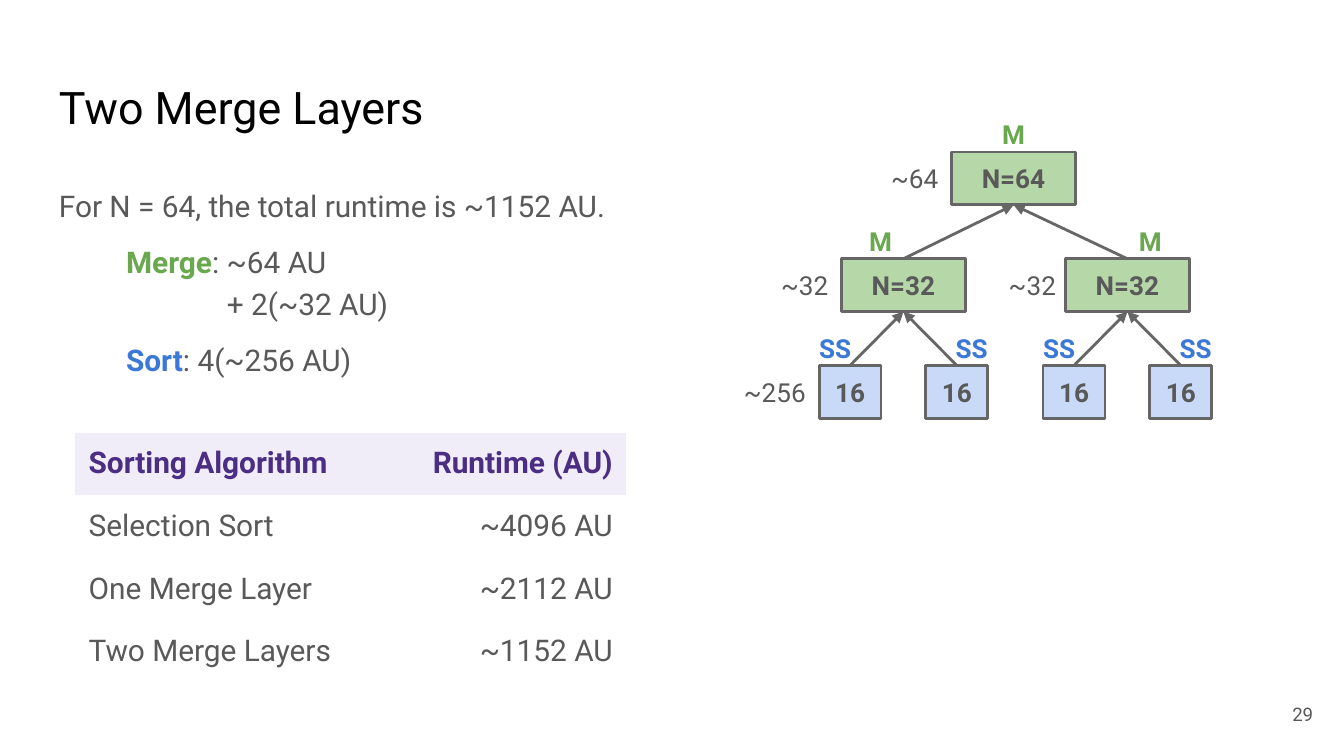
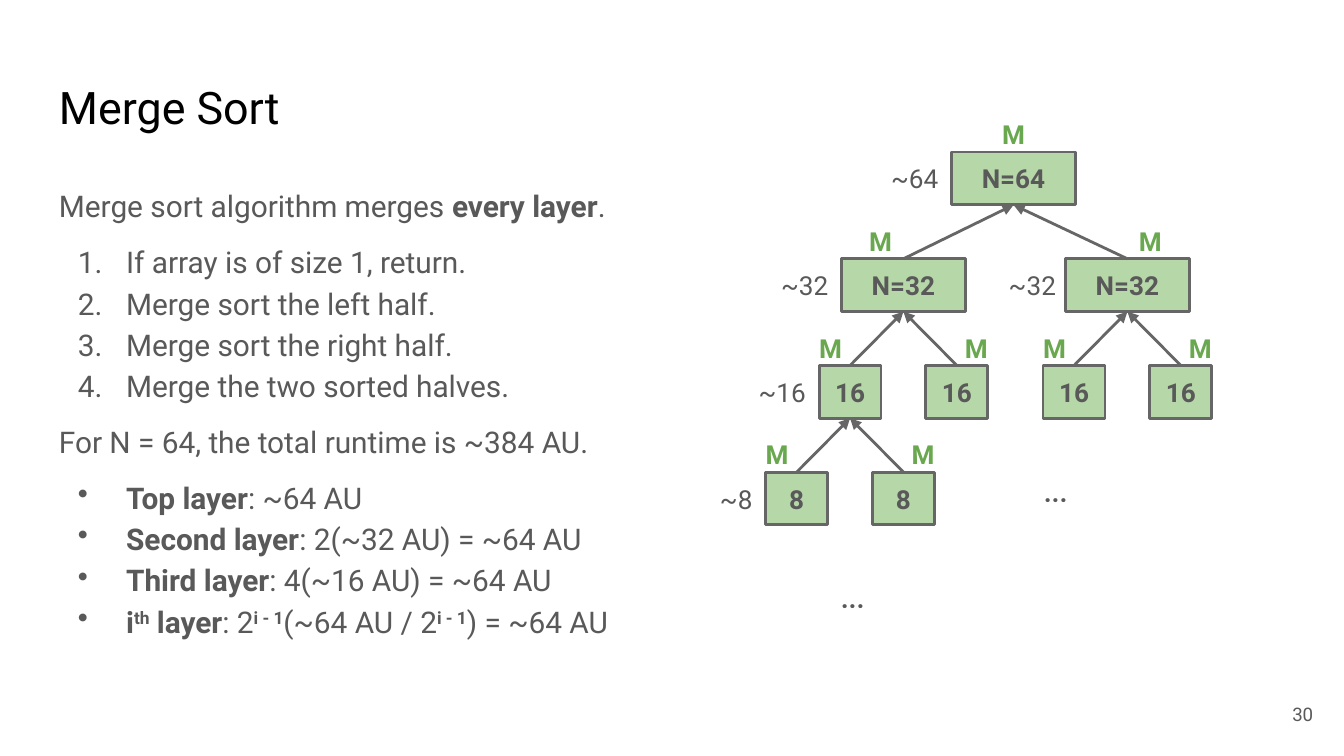
from collections import namedtuple

from lxml import etree
from pptx import Presentation
from pptx.dml.color import RGBColor
from pptx.enum.shapes import MSO_CONNECTOR, MSO_SHAPE
from pptx.enum.text import MSO_ANCHOR, PP_ALIGN
from pptx.oxml.ns import qn
from pptx.util import Pt

RECTANGLE = MSO_SHAPE.RECTANGLE
STRAIGHT = MSO_CONNECTOR.STRAIGHT
TOP, MIDDLE = MSO_ANCHOR.TOP, MSO_ANCHOR.MIDDLE
LEFT, CENTER, RIGHT = PP_ALIGN.LEFT, PP_ALIGN.CENTER, PP_ALIGN.RIGHT
TOP_SIDE, BOTTOM_SIDE = 0, 2

COLORS = {
    "black": "000000", "text": "595959", "line": "666666", "white": "FFFFFF",
    "merge": "6AA84F", "merge_fill": "B6D7A8",
    "sort": "3C78D8", "sort_fill": "C9DAF8",
    "header": "4B2E83", "header_fill": "F0ECF8",
}
FONT = "Roboto"
INSET = 7.2
NO_TABLE_STYLE = "{2D5ABB26-0587-4C30-8999-92F81FD0307C}"

# Regions of the page, in points
Box = namedtuple("Box", "left top width height")
PAGE = Box(0, 0, 720, 405)
TITLE = Box(24.5, 35.3, 311, 45.4)
BODY = Box(24.5, 90.7, 311, 269.3)
TABLE = Box(40.3, 231.8, 295.2, 120.8)
TREE = Box(332, 62.6, 318, 276)
PAGE_NUMBER = Box(667.4, 367.2, 43.2, 31)

# Text formats
TITLE_TEXT = {"size": 24, "color": "black"}
BODY_TEXT = {"size": 16, "color": "text"}
NUMBER_TEXT = {"size": 10, "color": "text"}
TREE_TEXT = {"size": 14, "color": "text"}
BOLD = {"bold": True}
RAISED = {"bold": True, "baseline": 30}

# Paragraph layouts
PLAIN = {"line_spacing": 1.15}
SPACED = {**PLAIN, "space_before": Pt(8)}
HANGING = {"margin": 90, "indent": -54}
INDENTED = {"margin": 36, "indent": 0}
LISTED = {"margin": 36, "indent": -25.9}
NUMBERED = {**LISTED, "bullet": ("a:buAutoNum", "type", "arabicPeriod")}
BULLETED = {**LISTED, "bullet": ("a:buChar", "char", "•")}

# Tree geometry: a node is named by the turns that lead to it from the root
ROOT_CENTER = 211
NODE_HEIGHT = 28.3
TAG_HEIGHT = 18.9
ROW_PITCH = 57.15
NODE_WIDTHS = [66.4, 66.4, 33.2, 33.2]
STEPS = [{}, {"L": -59, "R": 61}, {"L": -28.6, "R": 28.6}, {"L": -28.6, "R": 28.6}]
INNER_TAG_WIDTH = 41.8
COST_WIDTH = 77.8
UPPER_NODES = ["", "L", "R", "LL", "LR", "RL", "RR"]
LOWER_NODES = ["LLL", "LLR"]
LABELS = ["N=64", "N=32", "16", "8"]
ELLIPSES = [(246.9, 3), (138.2, 4)]  # right edge, row


def color(name):
    return RGBColor.from_string(COLORS[name])


def place(box):
    return [Pt(value) for value in box]


def within(region, left, top, width, height):
    return Box(region.left + left, region.top + top, width, height)


# Text
def add_span(para, text, style):
    span = para.add_run()
    span.text = text
    values = {"name": FONT, "size": Pt(style["size"]), "bold": style.get("bold", False)}
    for key, value in values.items():
        setattr(span.font, key, value)
    span.font.color.rgb = color(style["color"])
    if "baseline" in style:
        span._r.get_or_add_rPr().set("baseline", str(style["baseline"] * 1000))


def set_layout(para, layout):
    properties = para._p.get_or_add_pPr()
    if "margin" in layout:
        properties.set("marL", str(Pt(layout["margin"])))
        properties.set("indent", str(Pt(layout["indent"])))
    if "bullet" in layout:
        tag, key, value = layout["bullet"]
        bullet_color = etree.SubElement(properties, qn("a:buClr"))
        etree.SubElement(bullet_color, qn("a:srgbClr")).set("val", COLORS["text"])
        etree.SubElement(properties, qn(tag)).set(key, value)
    for key in ("line_spacing", "space_before", "space_after", "alignment"):
        if key in layout:
            setattr(para, key, layout[key])


def write(frame, paragraphs, style, anchor=TOP, side_inset=INSET):
    values = {"word_wrap": True, "vertical_anchor": anchor,
              "margin_left": Pt(side_inset), "margin_right": Pt(side_inset),
              "margin_top": Pt(INSET), "margin_bottom": Pt(INSET)}
    for key, value in values.items():
        setattr(frame, key, value)
    for index, (spans, layout) in enumerate(paragraphs):
        para = frame.add_paragraph() if index else frame.paragraphs[0]
        set_layout(para, layout)
        for text, changes in spans:
            for number, line in enumerate(text.split("\n")):
                if number:
                    para.add_line_break()
                add_span(para, line, {**style, **changes})


def add_text(shapes, box, paragraphs, style, **options):
    write(shapes.add_textbox(*place(box)).text_frame, paragraphs, style, **options)


def add_label(shapes, box, text, style, alignment, **options):
    paragraphs = [([(text, {})], {"alignment": alignment})]
    add_text(shapes, box, paragraphs, style, anchor=MIDDLE, **options)


# Tree of subarrays
def node_box(region, name):
    level = len(name)
    center = ROOT_CENTER + sum(STEPS[i + 1][turn] for i, turn in enumerate(name))
    width = NODE_WIDTHS[level]
    return within(region, center - width / 2, TAG_HEIGHT + level * ROW_PITCH,
                  width, NODE_HEIGHT)


def add_node(shapes, box, text, fill):
    node = shapes.add_shape(RECTANGLE, *place(box))
    node.shadow.inherit = False
    node.fill.solid()
    node.fill.fore_color.rgb = color(fill)
    node.line.color.rgb = color("line")
    node.line.width = Pt(1.5)
    write(node.text_frame, [([(text, BOLD)], {"alignment": CENTER})], TREE_TEXT, anchor=MIDDLE)
    return node


def add_arrow(shapes, child, parent):
    arrow = shapes.add_connector(STRAIGHT, child.left + child.width // 2, child.top,
                                 parent.left + parent.width // 2, parent.top + parent.height)
    arrow.begin_connect(child, TOP_SIDE)
    arrow.end_connect(parent, BOTTOM_SIDE)
    arrow.line.color.rgb = color("line")
    arrow.line.width = Pt(1.5)
    etree.SubElement(arrow.line._get_or_add_ln(), qn("a:tailEnd")).set("type", "triangle")
    etree.SubElement(arrow._element.spPr, qn("a:effectLst"))


def add_tag(shapes, box, name, text, kind):
    style = {**TREE_TEXT, **BOLD, "color": kind}
    leaf = len(name) > 1
    width = INNER_TAG_WIDTH if len(name) == 1 else box.width
    left = box.left + (box.width - width if name.endswith("R") else 0)
    side = RIGHT if name.endswith("R") else LEFT
    add_label(shapes, Box(left, box.top - TAG_HEIGHT, width, TAG_HEIGHT), text, style,
              side if leaf else CENTER, side_inset=0 if leaf else INSET)


def add_cost(shapes, box, name, text):
    shift = 2 if name == "R" else 0
    add_label(shapes, Box(box.left - COST_WIDTH + shift, box.top, COST_WIDTH, box.height),
              text, TREE_TEXT, RIGHT)


def draw_tree(page, region, node_groups, costs, sorted_level=None):
    nodes = {}
    for names in node_groups:
        shapes = page.shapes.add_group_shape().shapes
        for name in names:
            box = node_box(region, name)
            kind, tag = ("sort", "SS") if len(name) == sorted_level else ("merge", "M")
            nodes[name] = add_node(shapes, box, LABELS[len(name)], kind + "_fill")
            if name:
                add_arrow(shapes, nodes[name], nodes[name[:-1]])
            add_tag(shapes, box, name, tag, kind)
            if name in costs:
                add_cost(shapes, box, name, costs[name])


def draw_ellipses(page, region):
    for right, row in ELLIPSES:
        box = within(region, right - COST_WIDTH, TAG_HEIGHT + row * ROW_PITCH,
                     COST_WIDTH, NODE_HEIGHT)
        add_label(page.shapes, box, "···", {**TREE_TEXT, **BOLD}, RIGHT)


# Runtime table
def draw_table(page, box, rows):
    table = page.shapes.add_table(len(rows), len(rows[0]), *place(box)).table
    table.first_row = table.horz_banding = False
    table._tbl.tblPr.find(qn("a:tableStyleId")).text = NO_TABLE_STYLE
    for row_index, row in enumerate(rows):
        header = row_index == 0
        style = {**BODY_TEXT, **BOLD, "color": "header"} if header else BODY_TEXT
        for column, text in enumerate(row):
            cell = table.cell(row_index, column)
            cell.fill.solid()
            cell.fill.fore_color.rgb = color("header_fill" if header else "white")
            for side in ("left", "right", "top", "bottom"):
                setattr(cell, "margin_" + side, Pt(INSET))
            para = cell.text_frame.paragraphs[0]
            para.alignment = RIGHT if column else LEFT
            add_span(para, text, style)


# Page parts shared by both slides
def start_page(deck, title, number, paragraphs):
    page = deck.slides.add_slide(deck.slide_layouts[6])
    add_text(page.shapes, TITLE, [([(title, {})], {})], TITLE_TEXT)
    add_text(page.shapes, BODY, paragraphs, BODY_TEXT)
    add_label(page.shapes, PAGE_NUMBER, str(number), NUMBER_TEXT, RIGHT)
    return page


def list_items(items, layout):
    return [(spans, {**(PLAIN if index else SPACED), **layout})
            for index, spans in enumerate(items)]


def build_two_layers(deck):
    page = start_page(deck, "Two Merge Layers", 29, [
        ([("For N = 64, the total runtime is ~1152 AU.", {})], PLAIN),
        ([("Merge", {**BOLD, "color": "merge"}), (": ~64 AU\n+ 2(~32 AU)", {})],
         {**SPACED, **HANGING}),
        ([("Sort", {**BOLD, "color": "sort"}), (": 4(~256 AU)", {})],
         {**SPACED, **INDENTED, "space_after": Pt(8)}),
    ])
    draw_table(page, TABLE, [
        ("Sorting Algorithm", "Runtime (AU)"),
        ("Selection Sort", "~4096 AU"),
        ("One Merge Layer", "~2112 AU"),
        ("Two Merge Layers", "~1152 AU"),
    ])
    costs = {"": "~64", "L": "~32", "R": "~32", "LL": "~256"}
    draw_tree(page, TREE, [UPPER_NODES], costs, sorted_level=2)


def build_merge_sort(deck):
    steps = ["If array is of size 1, return.", "Merge sort the left half.",
             "Merge sort the right half.", "Merge the two sorted halves."]
    layers = [("Top layer", ": ~64 AU"), ("Second layer", ": 2(~32 AU) = ~64 AU"),
              ("Third layer", ": 4(~16 AU) = ~64 AU")]
    any_layer = [("i", BOLD), ("th", RAISED), (" layer", BOLD), (": 2", {}), ("i - 1", RAISED),
                 ("(~64 AU / 2", {}), ("i - 1", RAISED), (") = ~64 AU", {})]
    layer_items = [[(name, BOLD), (cost, {})] for name, cost in layers] + [any_layer]
    page = start_page(deck, "Merge Sort", 30, [
        ([("Merge sort algorithm merges ", {}), ("every layer", BOLD), (".", {})], PLAIN),
        *list_items([[(step, {})] for step in steps], NUMBERED),
        ([("For N = 64, the total runtime is ~384 AU.", {})], SPACED),
        *list_items(layer_items, BULLETED),
    ])
    costs = {"": "~64", "L": "~32", "R": "~32", "LL": "~16", "LLL": "~8"}
    draw_tree(page, TREE, [UPPER_NODES, LOWER_NODES], costs)
    draw_ellipses(page, TREE)


def main():
    deck = Presentation()
    deck.slide_width, deck.slide_height = Pt(PAGE.width), Pt(PAGE.height)
    build_two_layers(deck)
    build_merge_sort(deck)
    deck.save("out.pptx")


if __name__ == "__main__":
    main()
